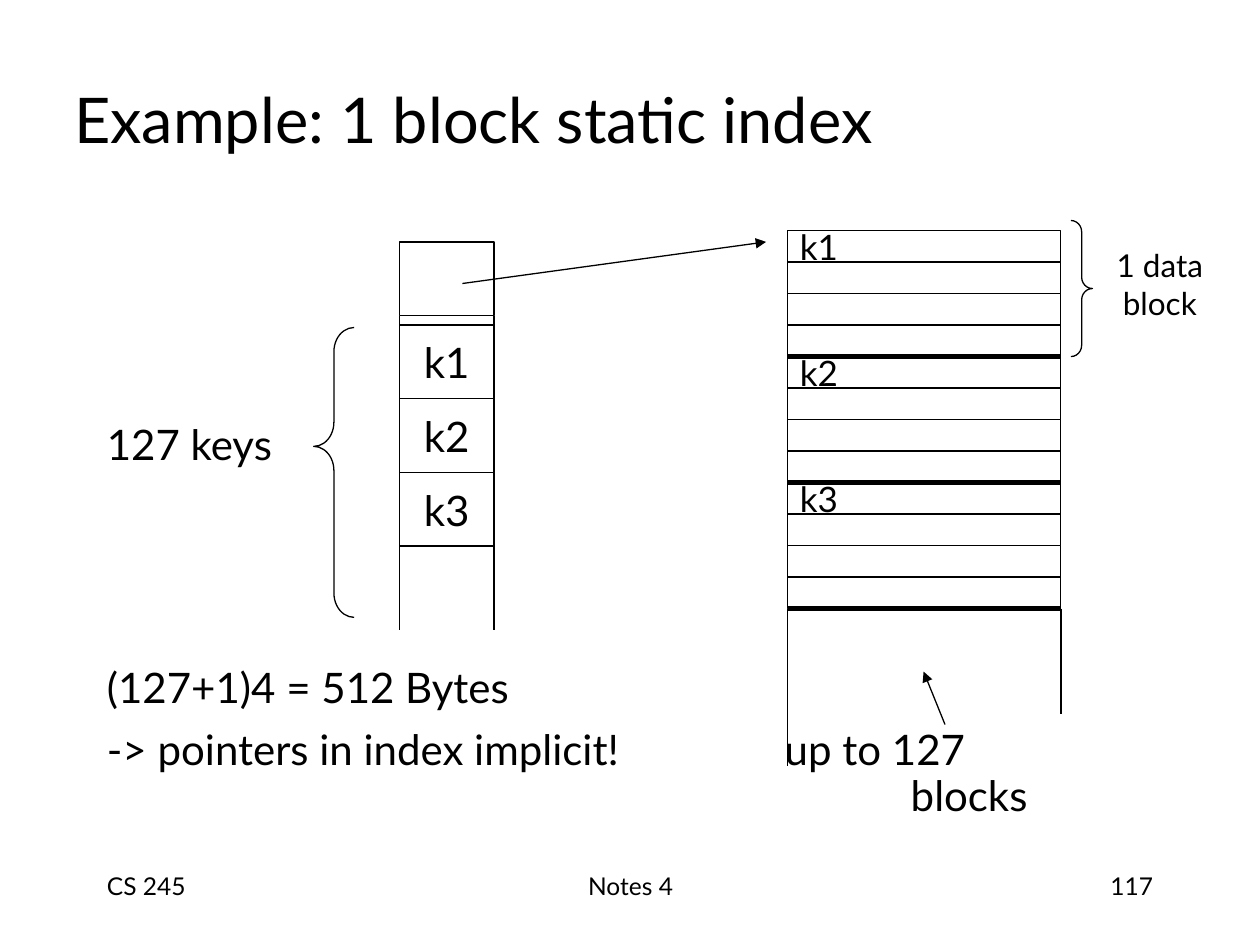
from pptx import Presentation
from pptx.dml.color import RGBColor
from pptx.enum.shapes import MSO_CONNECTOR, MSO_SHAPE
from pptx.enum.text import MSO_ANCHOR, PP_ALIGN
from pptx.oxml.ns import qn
from pptx.util import Inches, Pt
from lxml.etree import SubElement

THEME = {
    "font": "Lato", "ink": RGBColor(0, 0, 0), "paper": RGBColor(255, 255, 255),
    "title": 36, "body": 24, "record": 20, "label": 18, "footer": 14,
    "thin": 0.75, "thick": 3,
}
LEFT, CENTER, RIGHT = PP_ALIGN.LEFT, PP_ALIGN.CENTER, PP_ALIGN.RIGHT

TEXTS = [
    (["CS 245"], 0.75, 6.83, 2.08, 0.4, "footer", LEFT),
    (["Notes 4"], 3.42, 6.83, 3.17, 0.4, "footer", CENTER),
    (["117"], 7.17, 6.83, 2.08, 0.4, "footer", RIGHT),
    (["Example: 1 block static index"], 0.49, 0.44, 8.5, 0.99, "title", LEFT),
    (["127 keys"], 0.75, 3.27, 1.7, 0.5, "body", LEFT),
    (["(127+1)4 = 512 Bytes"], 0.75, 5.2, 4.5, 0.5, "body", LEFT),
    (["-> pointers in index implicit!"], 0.75, 5.69, 5, 0.5, "body", LEFT),
    (["up to 127"], 6.13, 5.69, 2, 0.5, "body", LEFT),
    (["blocks"], 7.13, 6.06, 1.5, 0.5, "body", LEFT),
    (["1 data", "block"], 8.65, 1.91, 1.11, 0.68, "label", CENTER),
]
KEYS = ["k1", "k2", "k3"]
INDEX = {"x": 3.17, "header_y": 1.92, "y": 2.58, "w": 0.75, "h": 0.585}
DATA = {"x": 6.25, "y": 1.83, "w": 2.17, "h": 0.25, "rows": 4}
ARROWS = [((7.5, 5.75), (7.33, 5.33)), ((3.67, 2.25), (6.08, 1.92))]
BRACES = [
    (MSO_SHAPE.RIGHT_BRACE, 8.5, 1.75, 0.17, 1.08, 0.53, 0.5),
    (MSO_SHAPE.LEFT_BRACE, 2.49, 2.6, 0.32, 2.3, 0.6, 0.41),
]


def write(sp, lines, size, align, wrap=True):
    tf = sp.text_frame
    tf.word_wrap = wrap
    tf.vertical_anchor = MSO_ANCHOR.MIDDLE
    tf.text = "\n".join(lines)
    for p in tf.paragraphs:
        p.alignment = align
        p.font.name = THEME["font"]
        p.font.size = Pt(THEME[size])
        p.font.color.rgb = THEME["ink"]


def ink_line(sp, weight="thin"):
    sp.line.color.rgb = THEME["ink"]
    sp.line.width = Pt(THEME[weight])


def add_shape(s, kind, x, y, w, h):
    sp = s.shapes.add_shape(kind, Inches(x), Inches(y), Inches(w), Inches(h))
    sp.shadow.inherit = False
    ink_line(sp)
    return sp


def add_cell(s, x, y, w, h, text="", size="body", align=CENTER):
    sp = add_shape(s, MSO_SHAPE.RECTANGLE, x, y, w, h)
    sp.fill.solid()
    sp.fill.fore_color.rgb = THEME["paper"]
    if text:
        write(sp, [text], size, align, wrap=False)


def add_line(s, start, end, weight="thin", arrow=False):
    c = s.shapes.add_connector(MSO_CONNECTOR.STRAIGHT, *map(Inches, start + end))
    ink_line(c, weight)
    if arrow:
        SubElement(c.line._get_or_add_ln(), qn("a:tailEnd"), type="triangle")
    SubElement(c._element.spPr, qn("a:effectLst"))


def add_index(s):
    x, y, w, h = (INDEX[k] for k in ("x", "y", "w", "h"))
    add_cell(s, x, INDEX["header_y"], w, h)
    for i, key in enumerate(KEYS):
        add_cell(s, x, y + i * h, w, h, key)
    bottom = y + len(KEYS) * h
    for side in (x, x + w):
        add_line(s, (side, bottom), (side, 5))
        add_line(s, (side, INDEX["header_y"] + h), (side, y))


def add_data(s):
    x, y, w, h, rows = (DATA[k] for k in ("x", "y", "w", "h", "rows"))
    for i in range(rows * len(KEYS)):
        key = "" if i % rows else KEYS[i // rows]
        add_cell(s, x, y + i * h, w, h, key, "record", LEFT)
    for i in range(len(KEYS)):
        edge = y + (i + 1) * rows * h
        add_line(s, (x, edge), (x + w, edge), "thick")
    add_line(s, (x, edge), (x, 6.08))
    add_line(s, (x + w, edge), (x + w, 5.67))


def main():
    prs = Presentation()
    prs.slide_width, prs.slide_height = Inches(10), Inches(7.5)
    s = prs.slides.add_slide(prs.slide_layouts[6])
    for lines, x, y, w, h, size, align in TEXTS:
        box = s.shapes.add_textbox(Inches(x), Inches(y), Inches(w), Inches(h))
        write(box, lines, size, align)
    add_index(s)
    add_data(s)
    for start, end in ARROWS:
        add_line(s, start, end, arrow=True)
    for kind, x, y, w, h, curve, point in BRACES:
        sp = add_shape(s, kind, x, y, w, h)
        sp.fill.background()
        sp.adjustments[0], sp.adjustments[1] = curve, point
    prs.save("out.pptx")


if __name__ == "__main__":
    main()
